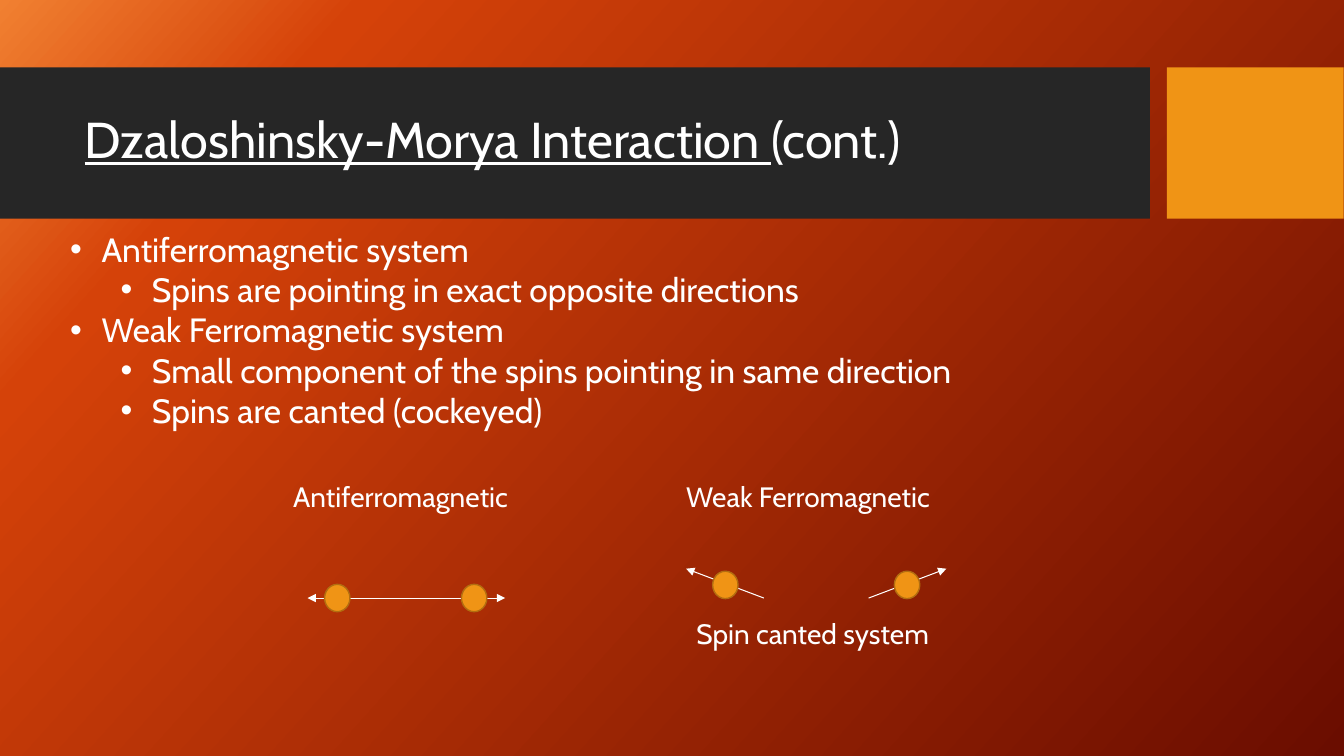
from copy import deepcopy

from lxml.etree import SubElement
from pptx import Presentation
from pptx.dml.color import RGBColor
from pptx.enum.shapes import MSO_CONNECTOR, MSO_SHAPE
from pptx.enum.text import MSO_ANCHOR, MSO_AUTO_SIZE, PP_ALIGN
from pptx.oxml.ns import qn
from pptx.util import Cm, Pt


def color(hex_value):
    return RGBColor.from_string(hex_value)


class SpinSlide:
    FONT = "Cabin"
    WHITE, DARK, ORANGE, RIM = "FFFFFF", "262626", "F09415", "B26D10"

    def __init__(self, deck):
        self.slide = deck.slides.add_slide(deck.slide_layouts[5])
        self.shapes = self.slide.shapes

    def background(self, stops, angle):
        fill = self.slide.background.fill
        fill.gradient()
        fill.gradient_angle = 360 - angle
        stop_list = self.slide.element.xpath(".//a:gsLst")[0]
        while len(stop_list) < len(stops):
            stop_list.append(deepcopy(stop_list[0]))
        for stop, (position, hex_value) in zip(fill.gradient_stops, stops):
            stop.position = position
            stop.color.rgb = color(hex_value)

    def shape(self, kind, left, top, width, height, fill, rim=None):
        shape = self.shapes.add_shape(kind, Cm(left), Cm(top), Cm(width), Cm(height))
        shape.shadow.inherit = False
        shape.fill.solid()
        shape.fill.fore_color.rgb = color(fill)
        if rim:
            shape.line.color.rgb = color(rim)
            shape.line.width = Pt(1)
        else:
            shape.line.fill.background()

    def atom(self, x, y, width=0.64, height=0.69):
        self.shape(MSO_SHAPE.OVAL, x - width / 2, y - height / 2, width, height,
                   self.ORANGE, self.RIM)

    def arrow(self, x1, y1, x2, y2, both_ends=False):
        arrow = self.shapes.add_connector(
            MSO_CONNECTOR.STRAIGHT, Cm(x1), Cm(y1), Cm(x2), Cm(y2))
        arrow.line.color.rgb = color(self.WHITE)
        arrow.line.width = Pt(0.75)
        outline = arrow.line._get_or_add_ln()
        for end in ("a:headEnd", "a:tailEnd") if both_ends else ("a:tailEnd",):
            SubElement(outline, qn(end), type="triangle")
        SubElement(outline.getparent(), qn("a:effectLst"))

    def style(self, paragraph, size):
        paragraph.alignment = PP_ALIGN.LEFT
        paragraph.font.name = self.FONT
        paragraph.font.size = Pt(size)
        paragraph.font.color.rgb = color(self.WHITE)

    def title(self, underlined, plain, left, top, width, height):
        title = self.shapes.title
        title.left, title.top, title.width, title.height = map(
            Cm, (left, top, width, height))
        frame = title.text_frame
        frame.auto_size = MSO_AUTO_SIZE.NONE
        frame.vertical_anchor = MSO_ANCHOR.MIDDLE
        paragraph = frame.paragraphs[0]
        self.style(paragraph, 36)
        paragraph.line_spacing = 0.9
        for text, underline in ((underlined, True), (plain, False)):
            run = paragraph.add_run()
            run.text = text
            run.font.underline = underline
        # Bring the title in front of the band
        title.element.getparent().append(title.element)

    def text(self, lines, left, top, width, height, size):
        box = self.shapes.add_textbox(Cm(left), Cm(top), Cm(width), Cm(height))
        frame = box.text_frame
        frame.word_wrap = True
        frame.auto_size = MSO_AUTO_SIZE.SHAPE_TO_FIT_TEXT
        for index, line in enumerate(lines):
            paragraph = frame.add_paragraph() if index else frame.paragraphs[0]
            paragraph.text = line
            self.style(paragraph, size)
        return frame.paragraphs

    def bullets(self, items, *place, size):
        paragraphs = self.text([line for _, line in items], *place, size)
        for paragraph, (level, _) in zip(paragraphs, items):
            paragraph.level = level
            properties = paragraph._p.get_or_add_pPr()
            properties.set("marL", str(Cm(0.79 + 1.27 * level)))
            properties.set("indent", str(-Cm(0.79)))
            font = SubElement(properties, qn("a:buFont"), typeface="Arial")
            bullet = SubElement(properties, qn("a:buChar"), char="•")
            # Bullet settings come before the default run properties
            defaults = properties.find(qn("a:defRPr"))
            defaults.addprevious(font)
            defaults.addprevious(bullet)


deck = Presentation()
deck.slide_width, deck.slide_height = Cm(33.87), Cm(19.05)
page = SpinSlide(deck)

# Background and title band
page.background([(0, "F18031"), (0.18, "D54209"), (1, "6A0D00")], angle=42)
for left, width, fill in ((0, 28.98, page.DARK), (29.41, 4.45, page.ORANGE)):
    page.shape(MSO_SHAPE.RECTANGLE, left, 1.7, width, 3.81, fill)
page.title("Dzaloshinsky-Morya Interaction ", "(cont.)", 1.88, 2.08, 26.7, 3)

# Antiferromagnetic spins: exactly opposite
spin_y = 15.07
page.arrow(7.75, spin_y, 12.73, spin_y, both_ends=True)
for atom_x in (8.5, 11.95):
    page.atom(atom_x, spin_y)

# Weak ferromagnetic spins: canted, mirrored about a centre
canted_center = 20.57
for side in (-1, 1):
    page.arrow(canted_center + side * 1.32, spin_y,
               canted_center + side * 3.28, 14.33)
    page.atom(canted_center + side * 2.29, 14.74)

# Diagram labels
for label, left, top, width in (
    ("Antiferromagnetic", 7.14, 11.96, 6.63),
    ("Weak Ferromagnetic", 17.04, 11.96, 7.34),
    ("Spin canted system", 17.3, 15.42, 7.44),
):
    page.text([label], left, top, width, 1.12, size=20)

# Explanation
page.bullets([
    (0, "Antiferromagnetic system"),
    (1, "Spins are pointing in exact opposite directions"),
    (0, "Weak Ferromagnetic system"),
    (1, "Small component of the spins pointing in same direction"),
    (1, "Spins are canted (cockeyed)"),
], 1.52, 5.64, 27.08, 5.38, size=24)

deck.save("out.pptx")
